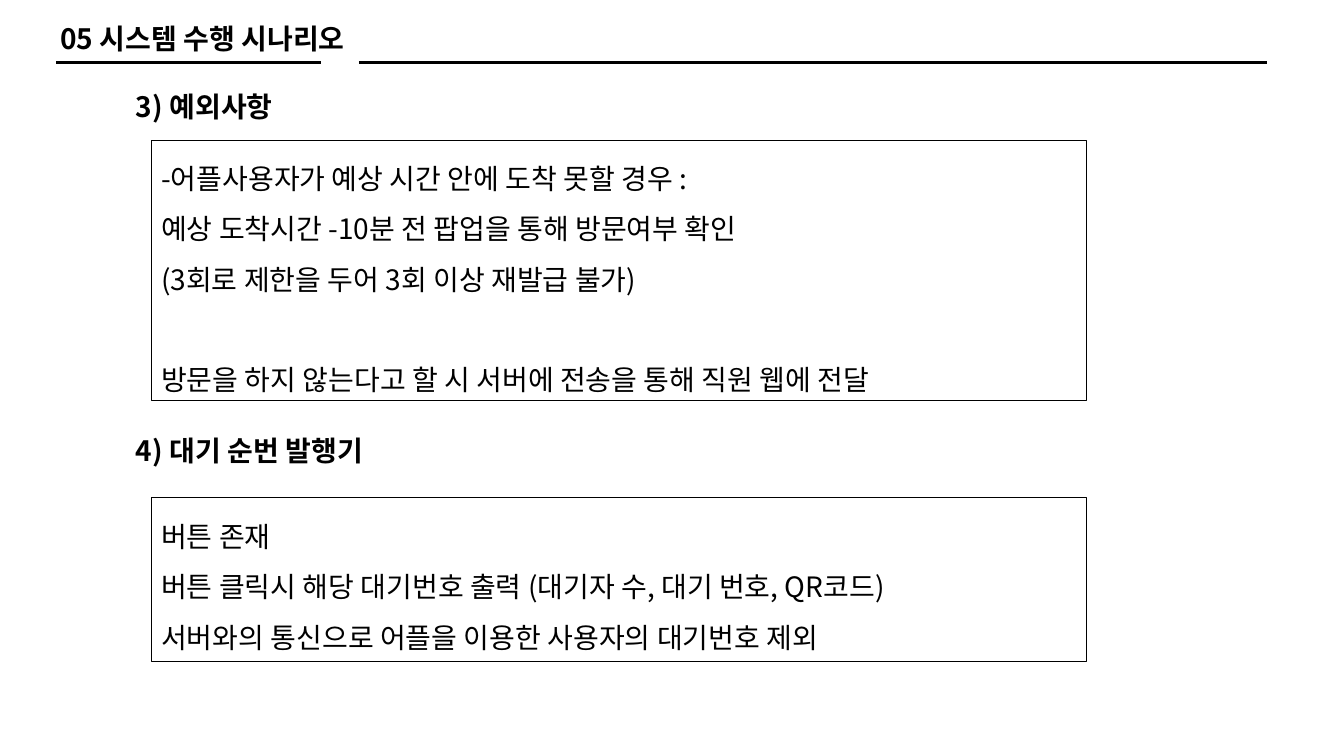
import pptx
import pptx.util
import pptx.dml.color
import pptx.enum.shapes
import pptx.enum.text
import pptx.oxml.ns
import lxml.etree
from pptx.util import Inches, Pt

FONT = "Noto Sans CJK KR"
INK = "000000"
HEADING_PITCH, BODY_PITCH = 24.5, 35.9

# text, left, top, width, height
HEADINGS = [
    ("05 시스템 수행 시나리오", 0.5, 0.16, 3.15, 0.44),
    ("3) 예외사항", 1.25, 0.83, 2.27, 0.77),
    ("4) 대기 순번 발행기", 1.25, 4.24, 2.62, 0.77),
]

# top, height, groups of lines set one line apart
BOX_LEFT, BOX_WIDTH = 1.5, 9.28
BOXES = [
    (1.39, 2.58, [
        ["-어플사용자가 예상 시간 안에 도착 못할 경우 :",
         "예상 도착시간 -10분 전 팝업을 통해 방문여부 확인",
         "(3회로 제한을 두어 3회 이상 재발급 불가)"],
        ["방문을 하지 않는다고 할 시 서버에 전송을 통해 직원 웹에 전달"],
    ]),
    (4.94, 1.62, [
        ["버튼 존재",
         "버튼 클릭시 해당 대기번호 출력 (대기자 수, 대기 번호, QR코드)",
         "서버와의 통신으로 어플을 이용한 사용자의 대기번호 제외"],
    ]),
]

RULE_Y = 0.62
RULES = [(0.56, 3.18), (3.56, 12.57)]


def color(hex_text):
    return pptx.dml.color.RGBColor.from_string(hex_text)


def apply(target, formats):
    for name, value in formats.items():
        setattr(target, name, value)


def write_line(paragraph, text, bold, **paragraph_format):
    apply(paragraph, paragraph_format)
    run = paragraph.add_run()
    run.text = text
    apply(run.font, {"name": FONT, "size": Pt(20), "bold": bold})
    run.font.color.rgb = color(INK)
    east_asian = lxml.etree.SubElement(
        run.font._element, pptx.oxml.ns.qn("a:ea"))
    east_asian.set("typeface", FONT)


def add_rule(slide, start, end):
    rule = slide.shapes.add_connector(
        pptx.enum.shapes.MSO_CONNECTOR.STRAIGHT,
        Inches(start), Inches(RULE_Y), Inches(end), Inches(RULE_Y))
    rule.line.color.rgb = color(INK)
    rule.line.width = Pt(1.5)
    lxml.etree.SubElement(
        rule._element.spPr, pptx.oxml.ns.qn("a:effectLst"))


def add_heading(slide, text, *place):
    heading = slide.shapes.add_textbox(*map(Inches, place))
    heading.text_frame.word_wrap = True
    write_line(heading.text_frame.paragraphs[0], text, True,
               line_spacing=Pt(HEADING_PITCH))


def add_box(slide, top, height, groups):
    box = slide.shapes.add_shape(
        pptx.enum.shapes.MSO_SHAPE.RECTANGLE, Inches(BOX_LEFT), Inches(top),
        Inches(BOX_WIDTH), Inches(height))
    box.shadow.inherit = False
    box.fill.background()
    box.line.color.rgb = color(INK)
    box.line.width = Pt(0.75)
    frame = box.text_frame
    apply(frame, {"word_wrap": True,
                  "vertical_anchor": pptx.enum.text.MSO_ANCHOR.TOP})
    for group_index, group in enumerate(groups):
        for line_index, text in enumerate(group):
            first = group_index == line_index == 0
            new_group = group_index > 0 and line_index == 0
            write_line(
                frame.paragraphs[0] if first else frame.add_paragraph(),
                text, False,
                alignment=pptx.enum.text.PP_ALIGN.JUSTIFY,
                line_spacing=Pt(BODY_PITCH),
                space_before=Pt(BODY_PITCH if new_group else 0))


def main():
    deck = pptx.Presentation()
    apply(deck, {"slide_width": Inches(13.33), "slide_height": Inches(7.5)})
    slide = deck.slides.add_slide(deck.slide_layouts[6])
    for rule in RULES:
        add_rule(slide, *rule)
    for box in BOXES:
        add_box(slide, *box)
    for heading in HEADINGS:
        add_heading(slide, *heading)
    deck.save("out.pptx")


if __name__ == "__main__":
    main()
